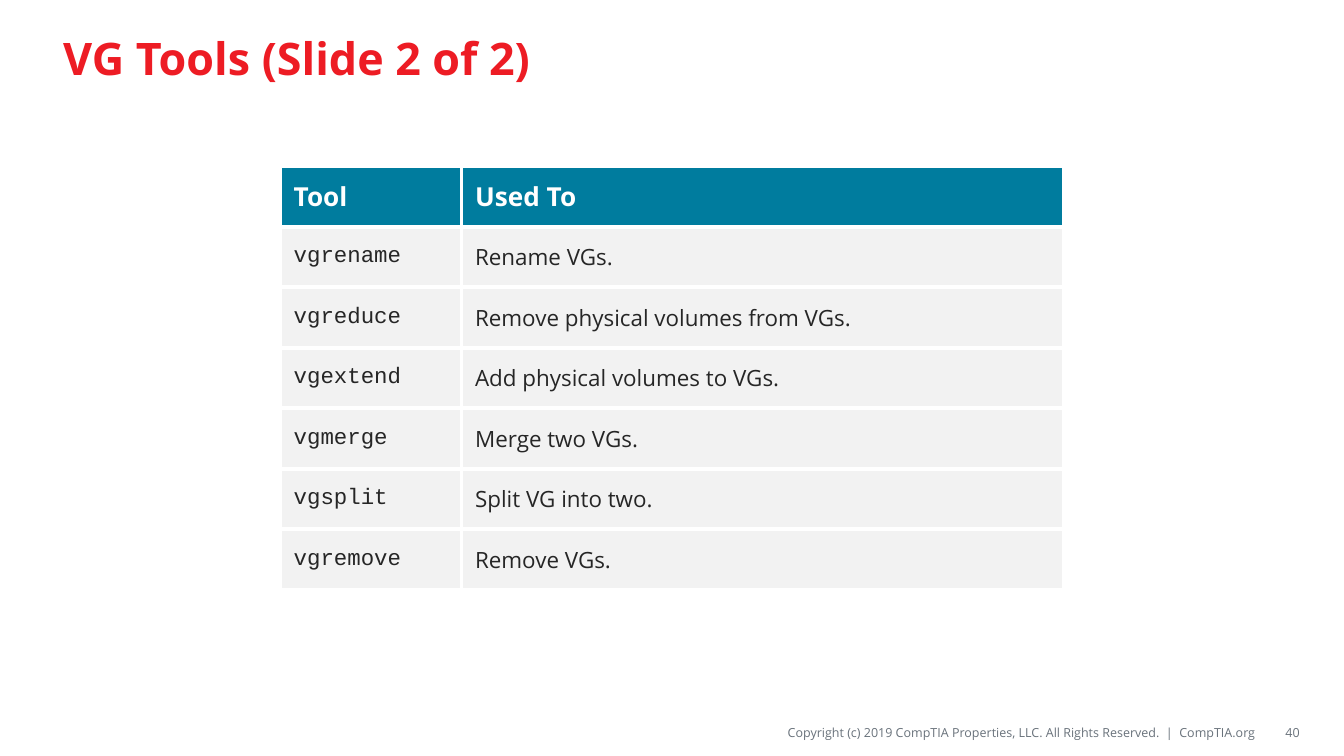
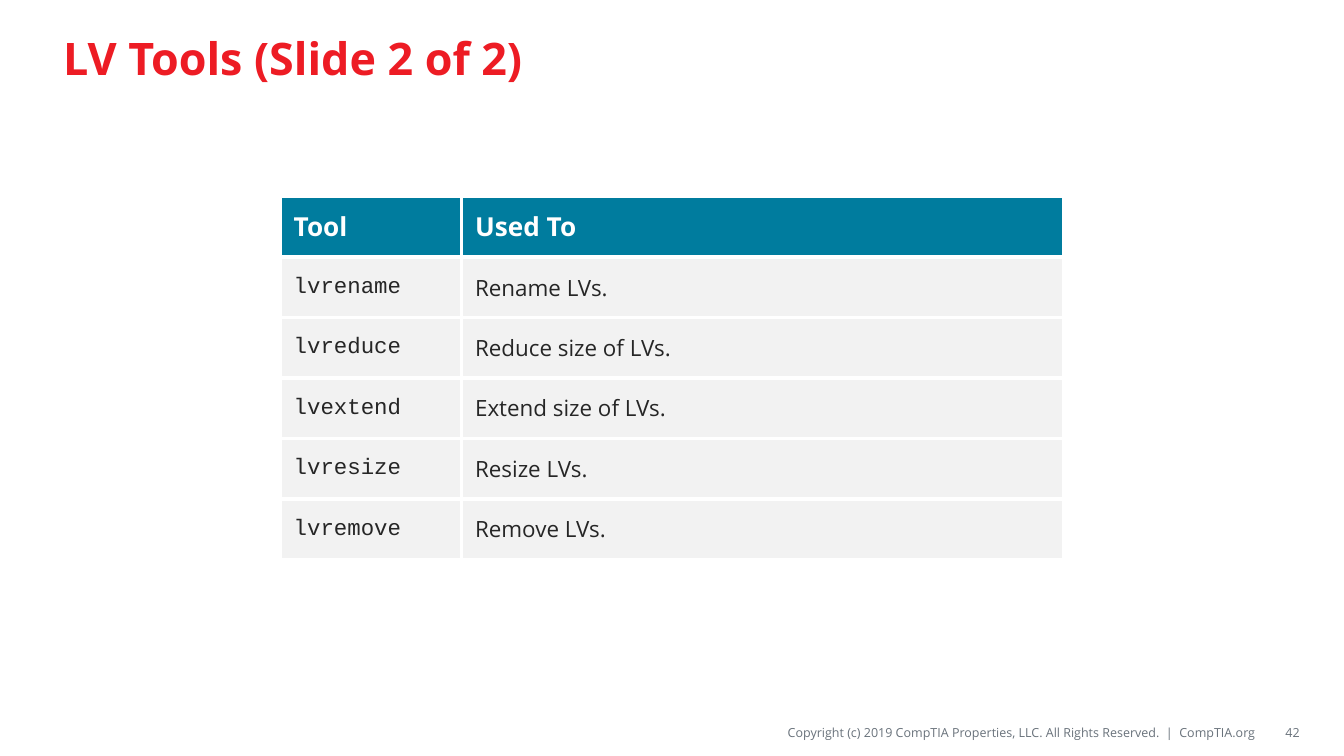
from pptx import Presentation
from pptx.dml.color import RGBColor
from pptx.enum.text import MSO_ANCHOR as Anchor, MSO_AUTO_SIZE as AutoSize, PP_ALIGN as Align
from pptx.oxml.ns import qn
from pptx.util import Inches, Pt
from lxml.etree import SubElement

COLORS = {
    "title": "ED1C24",
    "header": "007C9E",
    "row": "F2F2F2",
    "white": "FFFFFF",
    "body": "262626",
    "footer": "69727B",
}
FONT = "Open Sans"
CODE_FONT = "Courier New"
COPYRIGHT = "Copyright (c) 2019 CompTIA Properties, LLC. All Rights Reserved.  |  CompTIA.org"

SLIDE_WIDTH = 10
SLIDE_HEIGHT = SLIDE_WIDTH * 9 / 16
TITLE_ONLY_LAYOUT = 5
COLUMN_WIDTHS = (1.35, 4.48)
ROW_HEIGHT = 0.45
BORDER_WIDTH = 2.25

HEADINGS = ("Tool", "Used To")
VG_TOOLS = [
    ("vgrename", "Rename VGs."),
    ("vgreduce", "Remove physical volumes from VGs."),
    ("vgextend", "Add physical volumes to VGs."),
    ("vgmerge", "Merge two VGs."),
    ("vgsplit", "Split VG into two."),
    ("vgremove", "Remove VGs."),
]
LV_TOOLS = [
    ("lvrename", "Rename LVs."),
    ("lvreduce", "Reduce size of LVs."),
    ("lvextend", "Extend size of LVs."),
    ("lvresize", "Resize LVs."),
    ("lvremove", "Remove LVs."),
]


def add_run(paragraph, text, size, color, font=FONT, bold=False):
    run = paragraph.add_run()
    run.text = text
    run.font.name = font
    run.font.size = Pt(size)
    run.font.bold = bold
    run.font.color.rgb = RGBColor.from_string(COLORS[color])


def add_title(slide, text):
    title = slide.shapes.title
    title.left, title.top = Inches(0.37), Inches(0.08)
    title.width, title.height = Inches(9.25), Inches(0.69)
    frame = title.text_frame
    frame.auto_size = AutoSize.NONE
    frame.vertical_anchor = Anchor.MIDDLE
    paragraph = frame.paragraphs[0]
    paragraph.alignment = Align.LEFT
    add_run(paragraph, text, 24, "title", bold=True)


def add_footer_text(slide, text, left, width, inset=0):
    box = slide.shapes.add_textbox(Inches(left), Inches(5.34), Inches(width), Inches(0.22))
    frame = box.text_frame
    frame.word_wrap = True
    frame.vertical_anchor = Anchor.MIDDLE
    frame.margin_left, frame.margin_right = Inches(inset), 0
    frame.margin_top = frame.margin_bottom = Inches(0.04)
    paragraph = frame.paragraphs[0]
    paragraph.alignment = Align.RIGHT
    add_run(paragraph, text, 6.75, "footer")


def set_borders(cell):
    properties = cell._tc.get_or_add_tcPr()
    for side in ("a:lnL", "a:lnR", "a:lnT", "a:lnB"):
        line = SubElement(properties, qn(side), w=str(Pt(BORDER_WIDTH)))
        fill = SubElement(line, qn("a:solidFill"))
        SubElement(fill, qn("a:srgbClr"), val=COLORS["white"])


def fill_cell(cell, text, fill, **style):
    set_borders(cell)
    cell.fill.solid()
    cell.fill.fore_color.rgb = RGBColor.from_string(COLORS[fill])
    cell.vertical_anchor = Anchor.MIDDLE
    add_run(cell.text_frame.paragraphs[0], text, **style)


def add_tool_table(slide, tools):
    """Add the table of tools, centred on the slide."""
    row_count = len(tools) + 1
    width, height = sum(COLUMN_WIDTHS), row_count * ROW_HEIGHT
    table = slide.shapes.add_table(
        row_count, len(HEADINGS),
        Inches((SLIDE_WIDTH - width) / 2), Inches((SLIDE_HEIGHT - height) / 2),
        Inches(width), Inches(height),
    ).table
    for column, column_width in zip(table.columns, COLUMN_WIDTHS):
        column.width = Inches(column_width)
    for row in table.rows:
        row.height = Inches(ROW_HEIGHT)

    for column, heading in enumerate(HEADINGS):
        fill_cell(table.cell(0, column), heading, "header", size=14, color="white", bold=True)
    for row, tool in enumerate(tools, start=1):
        for column, (text, font) in enumerate(zip(tool, (CODE_FONT, FONT))):
            fill_cell(table.cell(row, column), text, "row", size=12, color="body", font=font)


def add_tool_slide(presentation, title, page, tools):
    slide = presentation.slides.add_slide(presentation.slide_layouts[TITLE_ONLY_LAYOUT])
    add_footer_text(slide, COPYRIGHT, 3.88, 5.47)
    add_title(slide, title)
    add_footer_text(slide, str(page), 9.38, 0.29, inset=0.1)
    add_tool_table(slide, tools)


def main():
    presentation = Presentation()
    presentation.slide_width = Inches(SLIDE_WIDTH)
    presentation.slide_height = Inches(SLIDE_HEIGHT)
    add_tool_slide(presentation, "VG Tools (Slide 2 of 2)", 40, VG_TOOLS)
    add_tool_slide(presentation, "LV Tools (Slide 2 of 2)", 42, LV_TOOLS)
    presentation.save("out.pptx")


if __name__ == "__main__":
    main()
